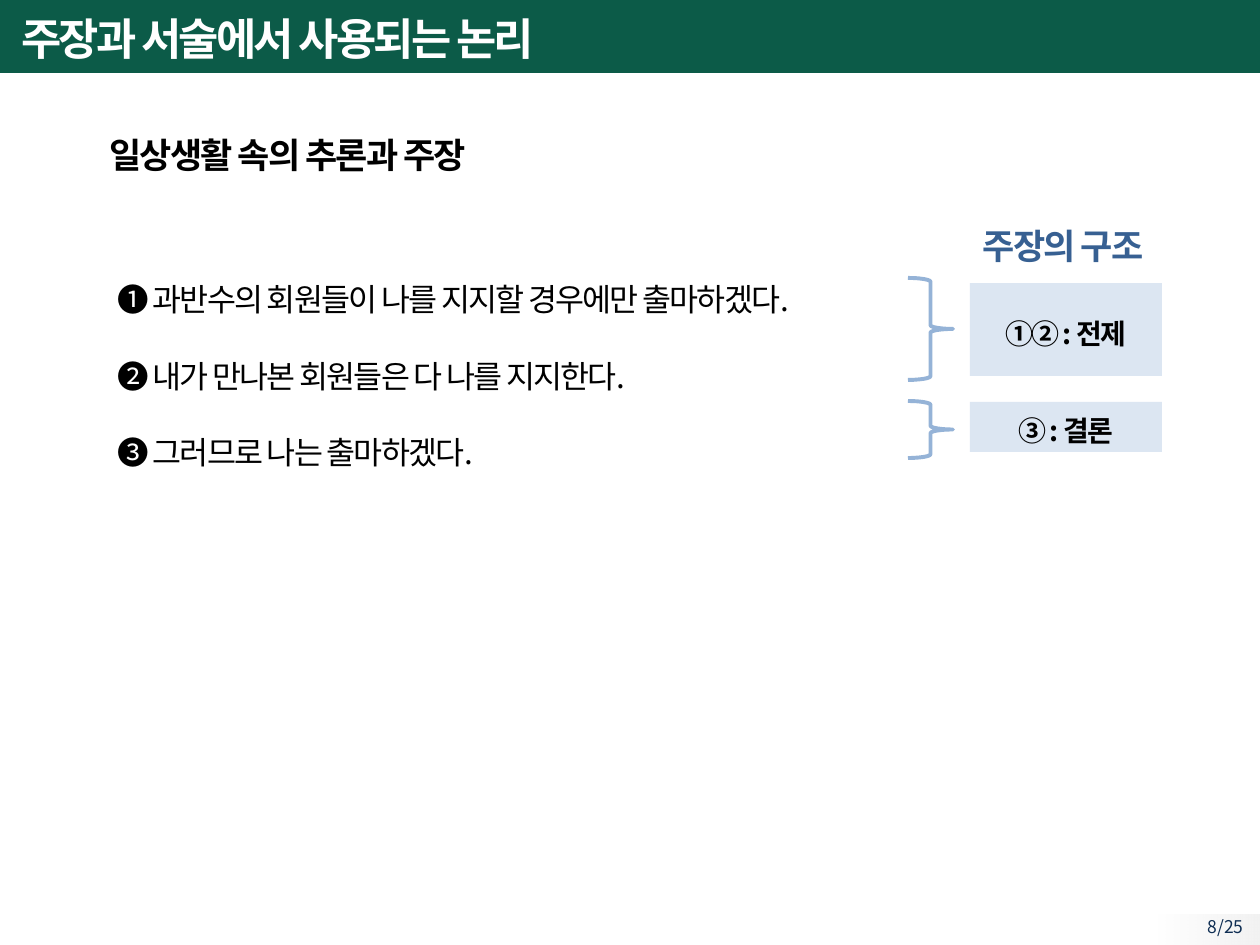
from dataclasses import dataclass

from lxml.etree import SubElement
from pptx import Presentation
from pptx.dml.color import RGBColor
from pptx.enum.shapes import MSO_SHAPE
from pptx.enum.text import MSO_ANCHOR, PP_ALIGN
from pptx.oxml.ns import qn
from pptx.util import Emu, Pt

PX_PER_INCH = 126


@dataclass(frozen=True)
class Theme:
    """Colours, typeface and type sizes of the slide."""
    font: str = "Noto Sans CJK KR"
    green: str = "0C5B48"
    white: str = "FFFFFF"
    black: str = "000000"
    blue: str = "376092"
    navy: str = "0F2E53"
    brace: str = "95B3D7"
    panel: str = "DCE6F2"
    mist: str = "F2F2F2"
    title: int = 25
    heading: int = 20
    body: int = 18
    label: int = 16
    page_number: int = 10


THEME = Theme()


def px(length):
    """Turn pixels into EMU."""
    return Emu(round(length * 914400 / PX_PER_INCH))


def rgb(colour):
    """Turn a hex string into a colour."""
    return RGBColor.from_string(colour)


def write(box, lines, size, colour, bold=False, align=PP_ALIGN.LEFT,
          anchor=MSO_ANCHOR.TOP, leading=1.0, before=0, after=0, tracking=-1.0):
    """Fill a box with paragraphs of one style."""
    frame = box.text_frame
    frame.word_wrap = True
    frame.vertical_anchor = anchor
    frame.text = "\n".join(lines)
    for index, para in enumerate(frame.paragraphs):
        para.alignment = align
        para.line_spacing = leading
        para.space_before = Pt(before if index else 0)
        para.space_after = Pt(after)
        for span in para.runs:
            span.font.size = Pt(size)
            span.font.bold = bold
            span.font.name = THEME.font
            span.font.color.rgb = rgb(colour)
            properties = span.font._element
            properties.set("spc", str(round(tracking * 100)))
            SubElement(properties, qn("a:ea")).set("typeface", THEME.font)


def add_text(page, area, lines, size, colour, **style):
    """Add a text box."""
    box = page.shapes.add_textbox(*map(px, area))
    write(box, lines, size, colour, **style)


def add_panel(page, area, colour):
    """Add a filled rectangle without outline."""
    panel = page.shapes.add_shape(MSO_SHAPE.RECTANGLE, *map(px, area))
    panel.shadow.inherit = False
    panel.fill.solid()
    panel.fill.fore_color.rgb = rgb(colour)
    panel.line.fill.background()
    return panel


def add_fade(page, area, colour):
    """Add a rectangle that fades out towards the left."""
    fade = add_panel(page, area, colour)
    fade.fill.gradient()
    fade.fill.gradient_angle = 180
    for stop, position in zip(fade.fill.gradient_stops, (0, 1)):
        stop.position = position
        stop.color.rgb = rgb(colour)
    last_colour = fade._element.spPr.findall(".//" + qn("a:srgbClr"))[-1]
    SubElement(last_colour, qn("a:alpha")).set("val", "0")


def add_brace(page, area):
    """Add an outlined right brace."""
    brace = page.shapes.add_shape(MSO_SHAPE.RIGHT_BRACE, *map(px, area))
    brace.shadow.inherit = False
    brace.fill.background()
    brace.line.color.rgb = rgb(THEME.brace)
    brace.line.width = Pt(2.25)


def add_role(page, brace_span, panel_span, label):
    """Add a brace and the labelled panel it points to."""
    brace_top, brace_height = brace_span
    panel_top, panel_height = panel_span
    add_brace(page, (908, brace_top, 45, brace_height))
    panel = add_panel(page, (970, panel_top, 192, panel_height), THEME.panel)
    write(panel, [label], THEME.label, THEME.black, bold=True,
          align=PP_ALIGN.CENTER, anchor=MSO_ANCHOR.MIDDLE, leading=1.2)


def add_frame(page):
    """Add the title banner and the page number."""
    add_panel(page, (0, -3, 1260, 76), THEME.green)
    add_fade(page, (1159, 915, 101, 30), THEME.mist)
    add_text(page, (1140, 910, 116, 29), ["8/25"], THEME.page_number,
             THEME.navy, align=PP_ALIGN.RIGHT, tracking=0)
    add_text(page, (9, 5, 1072, 66), ["주장과 서술에서 사용되는 논리"], THEME.title,
             THEME.white, bold=True, anchor=MSO_ANCHOR.MIDDLE, tracking=-1.5)


def main():
    """Build the slide and save it."""
    deck = Presentation()
    deck.slide_width, deck.slide_height = px(1260), px(945)
    page = deck.slides.add_slide(deck.slide_layouts[6])
    add_frame(page)
    heading = {"bold": True, "leading": 1.1, "after": 3}
    add_text(page, (97, 123, 1043, 55), ["일상생활 속의 추론과 주장"],
             THEME.heading, THEME.black, **heading)
    statements = [
        "➊ 과반수의 회원들이 나를 지지할 경우에만 출마하겠다.",
        "➋ 내가 만나본 회원들은 다 나를 지지한다.",
        "➌ 그러므로 나는 출마하겠다.",
    ]
    add_text(page, (105, 266, 803, 214), statements, THEME.body, THEME.black,
             leading=1.2, before=12, after=6)
    add_role(page, (278, 102), (283, 93), "①② : 전제")
    add_role(page, (401, 57), (402, 50), "③ : 결론")
    add_text(page, (954, 214, 218, 59), ["주장의 구조"], THEME.heading,
             THEME.blue, align=PP_ALIGN.CENTER, **heading)
    deck.save("out.pptx")


if __name__ == "__main__":
    main()
